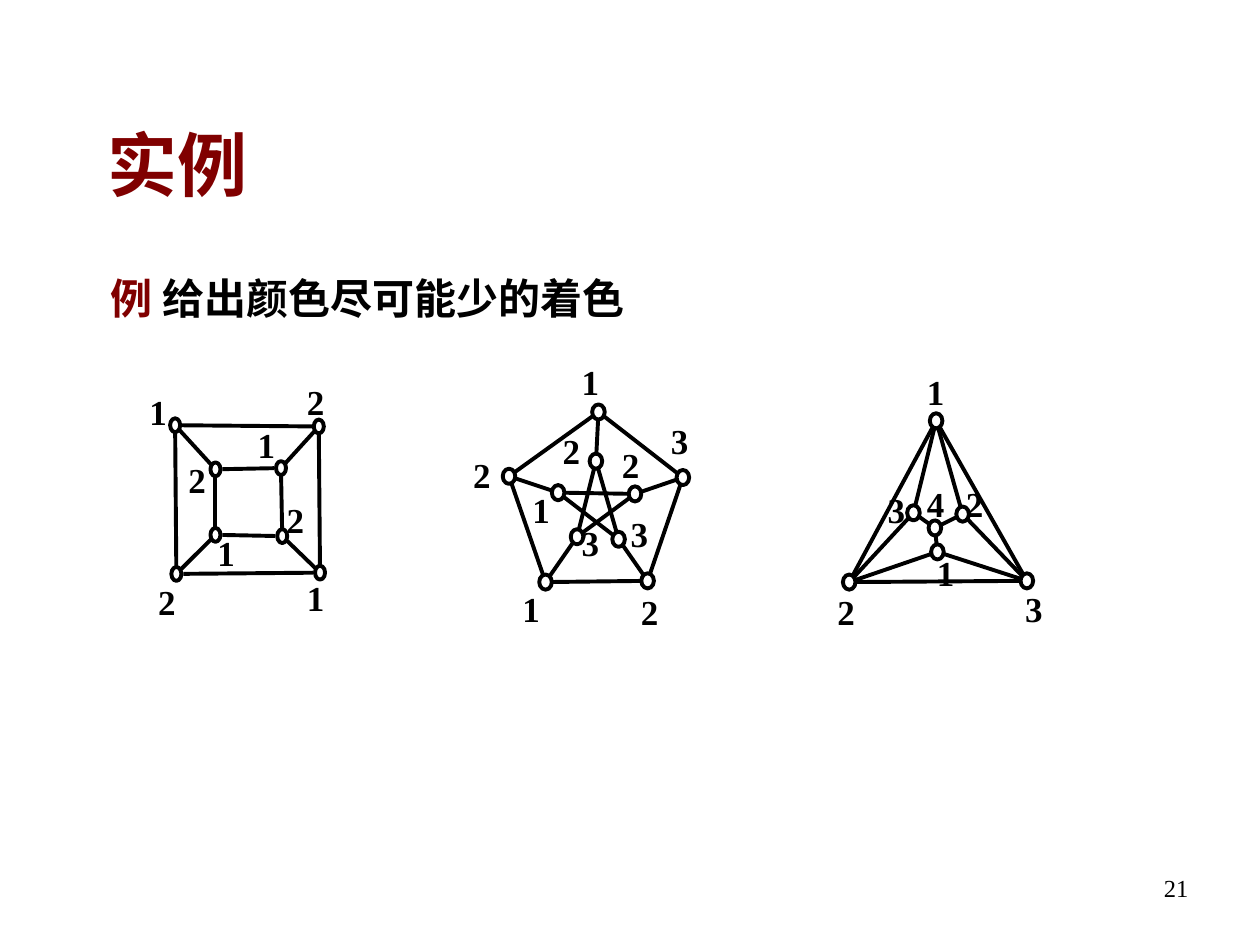
"""Build a slide that shows three graphs coloured with as few colours as possible."""
import math

import pptx
import pptx.dml.color
import pptx.enum.shapes
import pptx.enum.text
import pptx.util
from lxml import etree

Inches, Pt = pptx.util.Inches, pptx.util.Pt
ALIGN = pptx.enum.text.PP_ALIGN
ANCHOR = pptx.enum.text.MSO_ANCHOR

COLORS = {"accent": "800000", "ink": "000000", "node": "FFFFFF"}
FONT = "Times New Roman"
LINE_WIDTH = 2.25
LABEL_SIZE = (0.47, 0.44)

TITLE = "实例"
TASK = [("例 ", "accent"), ("给出颜色尽可能少的着色", "ink")]
PAGE_NUMBER = "21"

# Each node: left, top, colour number, label left, label top.
GRAPHS = [
    {
        "node_size": (0.08, 0.11),
        "nodes": {
            "top left": (1.35, 3.32, 1, 1.02, 3.05),
            "top right": (2.49, 3.33, 2, 2.27, 2.97),
            "bottom left": (1.36, 4.5, 2, 1.09, 4.56),
            "bottom right": (2.5, 4.49, 1, 2.27, 4.53),
            "inner top left": (1.67, 3.67, 2, 1.33, 3.59),
            "inner top right": (2.19, 3.66, 1, 1.88, 3.31),
            "inner bottom left": (1.67, 4.19, 1, 1.56, 4.17),
            "inner bottom right": (2.2, 4.2, 2, 2.11, 3.91),
        },
        "cycles": [
            ["top left", "top right", "bottom right", "bottom left"],
            ["inner top left", "inner top right", "inner bottom right", "inner bottom left"],
        ],
        "edges": [
            ("top left", "inner top left"),
            ("top right", "inner top right"),
            ("bottom left", "inner bottom left"),
            ("bottom right", "inner bottom right"),
        ],
    },
    {
        "node_size": (0.1, 0.12),
        "nodes": {
            "top": (4.7, 3.21, 1, 4.45, 2.81),
            "right": (5.37, 3.73, 3, 5.16, 3.28),
            "bottom right": (5.09, 4.55, 2, 4.92, 4.64),
            "bottom left": (4.28, 4.56, 1, 3.98, 4.61),
            "left": (3.99, 3.72, 2, 3.59, 3.55),
            "inner top": (4.68, 3.6, 2, 4.3, 3.36),
            "inner right": (4.99, 3.86, 2, 4.77, 3.47),
            "inner bottom right": (4.86, 4.22, 3, 4.84, 4.02),
            "inner bottom left": (4.53, 4.2, 3, 4.45, 4.09),
            "inner left": (4.38, 3.85, 1, 4.06, 3.83),
        },
        "cycles": [
            ["top", "right", "bottom right", "bottom left", "left"],
            ["inner top", "inner bottom right", "inner left", "inner right", "inner bottom left"],
        ],
        "edges": [
            ("top", "inner top"),
            ("right", "inner right"),
            ("bottom right", "inner bottom right"),
            ("bottom left", "inner bottom left"),
            ("left", "inner left"),
        ],
    },
    {
        "node_size": (0.1, 0.12),
        "nodes": {
            "top": (7.38, 3.28, 1, 7.19, 2.89),
            "left": (6.69, 4.56, 2, 6.48, 4.64),
            "right": (8.1, 4.55, 3, 7.97, 4.61),
            "inner left": (7.2, 4.01, 3, 6.88, 3.83),
            "inner right": (7.59, 4.02, 2, 7.5, 3.78),
            "inner bottom": (7.39, 4.32, 1, 7.27, 4.33),
            "centre": (7.37, 4.13, 4, 7.19, 3.78),
        },
        "cycles": [
            ["top", "right", "left"],
            ["top", "inner left", "left", "inner bottom", "right", "inner right"],
        ],
        "edges": [
            ("centre", "inner left"),
            ("centre", "inner right"),
            ("centre", "inner bottom"),
        ],
    },
]


def rgb(name):
    return pptx.dml.color.RGBColor.from_string(COLORS[name])


def write(shape, runs, size, bold=True, align=ALIGN.LEFT, anchor=ANCHOR.TOP):
    frame = shape.text_frame
    frame.word_wrap = True
    frame.vertical_anchor = anchor
    paragraph = frame.paragraphs[0]
    paragraph.alignment = align
    for text, color in runs:
        run = paragraph.add_run()
        run.text = text
        run.font.name, run.font.size, run.font.bold = FONT, Pt(size), bold
        run.font.color.rgb = rgb(color)
    return paragraph


def add_text(slide, box, runs, size, **style):
    shape = slide.shapes.add_textbox(*map(Inches, box))
    return shape, write(shape, runs, size, **style)


def add_edge(shapes, start, end, gap):
    share = gap / math.dist(start, end)
    step = [(b - a) * share for a, b in zip(start, end)]
    line = shapes.add_connector(
        pptx.enum.shapes.MSO_CONNECTOR.STRAIGHT,
        Inches(start[0] + step[0]), Inches(start[1] + step[1]),
        Inches(end[0] - step[0]), Inches(end[1] - step[1]))
    line.line.color.rgb = rgb("ink")
    line.line.width = Pt(LINE_WIDTH)
    properties = line._element.spPr
    etree.SubElement(properties, pptx.oxml.ns.qn("a:effectLst"))


def add_node(shapes, left, top, size):
    node = shapes.add_shape(pptx.enum.shapes.MSO_SHAPE.OVAL,
                            *map(Inches, (left, top, *size)))
    node.shadow.inherit = False
    node.fill.solid()
    node.fill.fore_color.rgb = rgb("node")
    node.line.color.rgb = rgb("ink")
    node.line.width = Pt(LINE_WIDTH)


def add_graph(slide, graph):
    width, height = graph["node_size"]
    shapes = slide.shapes.add_group_shape().shapes
    centres = {name: (left + width / 2, top + height / 2)
               for name, (left, top, *_) in graph["nodes"].items()}
    edges = list(graph["edges"])
    for cycle in graph["cycles"]:
        edges += zip(cycle, cycle[1:] + cycle[:1])
    for start, end in edges:
        add_edge(shapes, centres[start], centres[end], height / 2)
    for left, top, *_ in graph["nodes"].values():
        add_node(shapes, left, top, graph["node_size"])


def main():
    presentation = pptx.Presentation()
    presentation.slide_width, presentation.slide_height = Inches(10), Inches(7.5)
    slide = presentation.slides.add_slide(presentation.slide_layouts.get_by_name("Title Only"))

    title = slide.shapes.title
    title.left, title.top, title.width, title.height = map(Inches, (0.75, 0.67, 8.5, 1.25))
    write(title, [(TITLE, "accent")], 40, anchor=ANCHOR.MIDDLE)

    task, paragraph = add_text(slide, (0.78, 2.11, 8.5, 0.7), TASK, 24)
    paragraph.space_before = Pt(6)
    add_text(slide, (7.45, 6.88, 2.08, 0.5), [(PAGE_NUMBER, "ink")], 14,
             bold=False, align=ALIGN.RIGHT)

    for graph in GRAPHS:
        add_graph(slide, graph)
    for graph in GRAPHS:
        for *_, number, left, top in graph["nodes"].values():
            label, paragraph = add_text(slide, (left, top, *LABEL_SIZE),
                                        [(str(number), "ink")], 20, align=ALIGN.CENTER)
            label.text_frame.auto_size = pptx.enum.text.MSO_AUTO_SIZE.SHAPE_TO_FIT_TEXT

    presentation.save("out.pptx")


if __name__ == "__main__":
    main()
